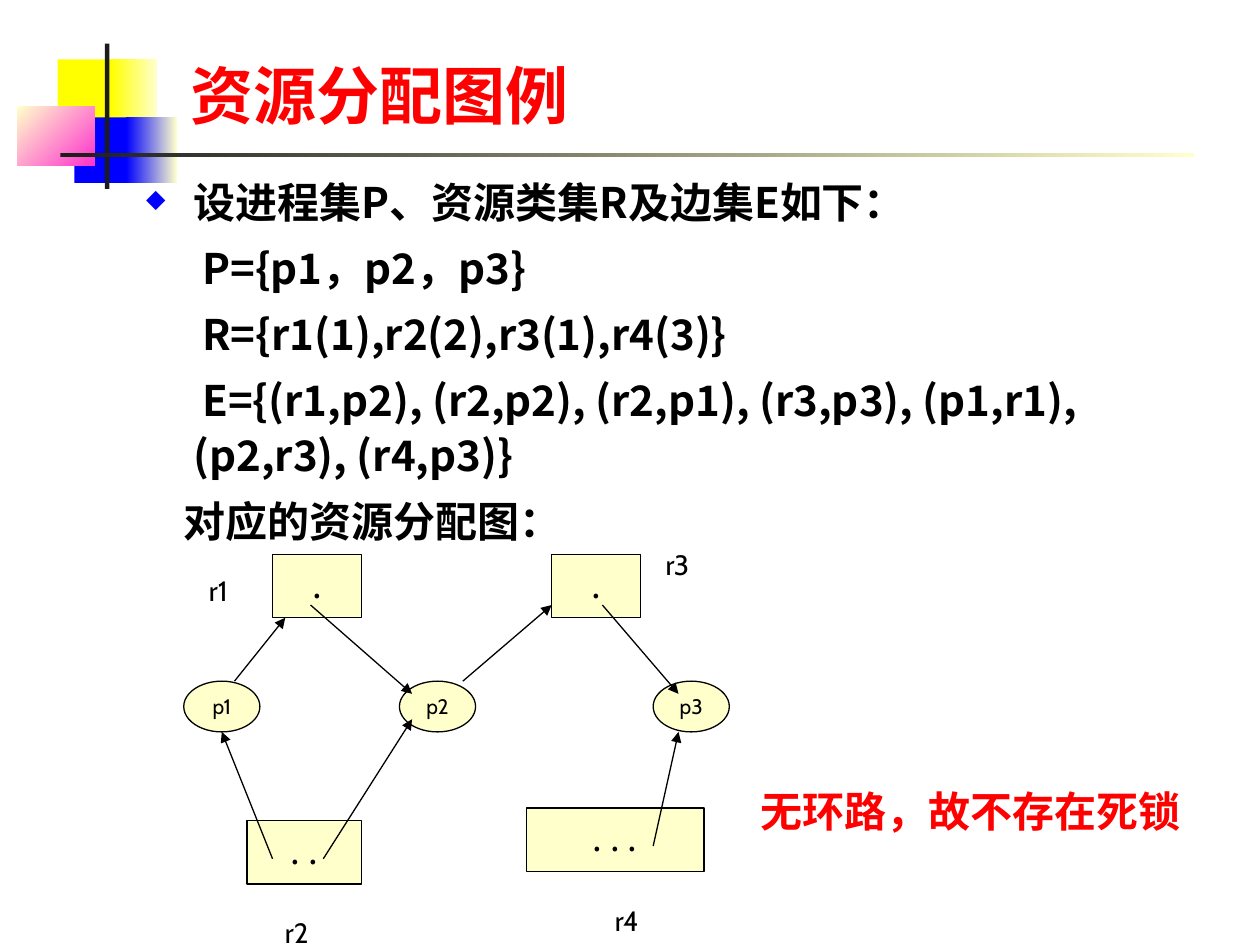
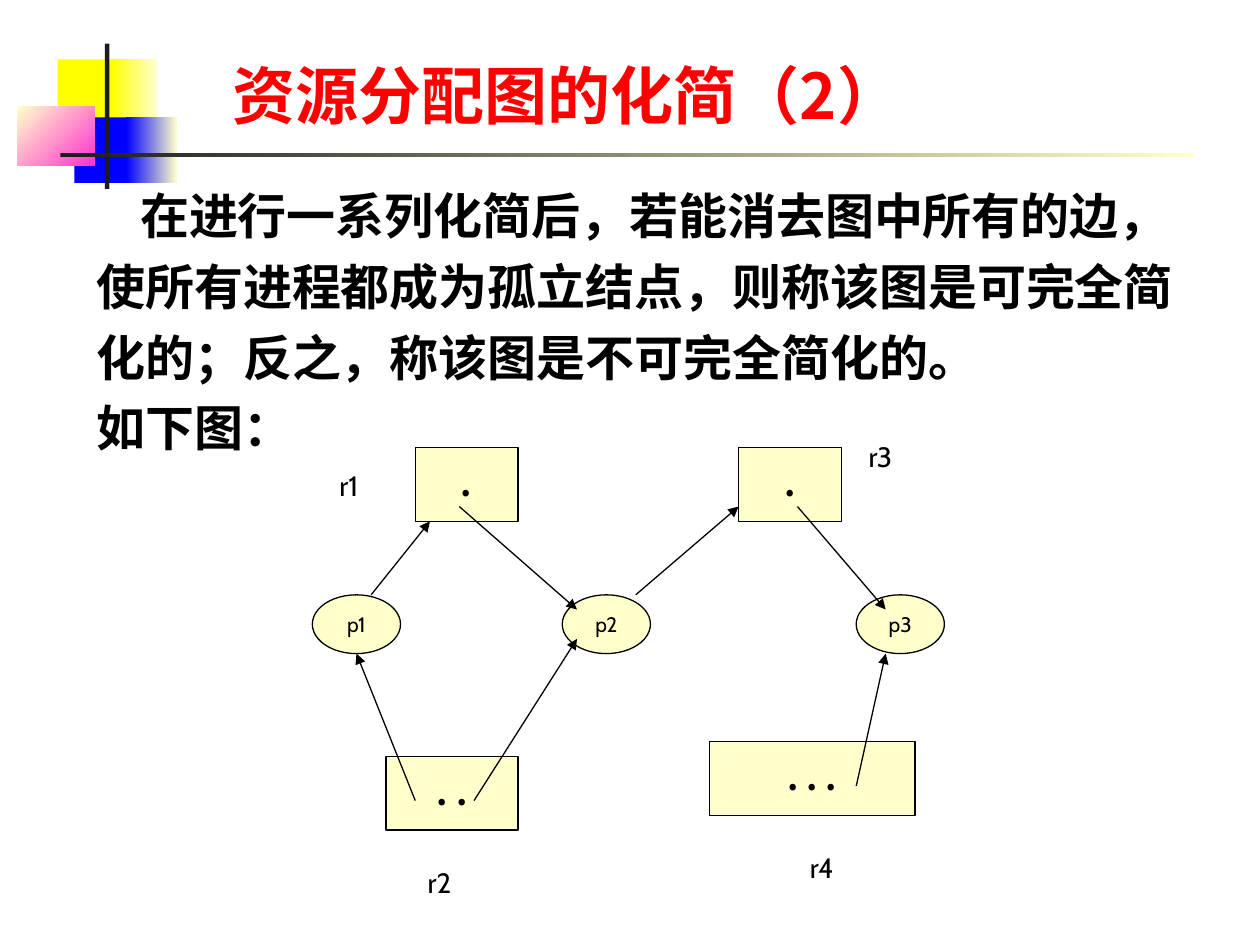
from dataclasses import dataclass
from typing import NamedTuple

from lxml.etree import SubElement
from pptx import Presentation
from pptx.dml.color import RGBColor
from pptx.enum.shapes import MSO_CONNECTOR, MSO_SHAPE
from pptx.enum.text import MSO_ANCHOR, PP_ALIGN
from pptx.oxml import parse_xml
from pptx.oxml.ns import nsdecls, qn
from pptx.util import Pt

BLACK = RGBColor(0x00, 0x00, 0x00)
RED = RGBColor(0xFF, 0x00, 0x00)
YELLOW = RGBColor(0xFF, 0xFF, 0x00)
BLUE = RGBColor(0x00, 0x00, 0xFF)
PINK = RGBColor(0xFF, 0x33, 0xCC)
CREAM = RGBColor(0xFF, 0xFF, 0xCC)
CHARCOAL = RGBColor(0x1C, 0x1C, 0x1C)

LATIN = "Cabin"
CJK = "Noto Sans CJK SC"


class Box(NamedTuple):
    left: float
    top: float
    width: float
    height: float


class Band(NamedTuple):
    box: Box
    start: RGBColor
    end: RGBColor | None = None
    angle: float = 0


@dataclass(frozen=True)
class Style:
    size: float
    font: str = LATIN
    color: RGBColor = BLACK
    bold: bool = False
    line_spacing: float | None = None
    space_before: float = 0


class Line(NamedTuple):
    text: str
    margin: float = 0
    indent: float = 0
    bullet: bool = False


class Node(NamedTuple):
    """A process or resource class, in grid units."""
    text: str
    box: Box


class Edge(NamedTuple):
    """An arrow between two points, in grid units."""
    x1: float
    y1: float
    x2: float
    y2: float


class Grid(NamedTuple):
    left: float
    top: float
    unit: float

    def x(self, column: float) -> Pt:
        return Pt(self.left + column * self.unit)

    def y(self, row: float) -> Pt:
        return Pt(self.top + row * self.unit)

    def place(self, box: Box) -> Box:
        return Box(self.left + box.left * self.unit, self.top + box.top * self.unit,
                   box.width * self.unit, box.height * self.unit)


BANDS = [
    Band(Box(33, 34, 34.5, 37.5), YELLOW),
    Band(Box(63.5, 34, 26, 37.5), YELLOW, CREAM),
    Band(Box(42.5, 67, 33, 37.5), BLUE),
    Band(Box(72, 67, 29, 37.5), BLUE, CREAM),
    Band(Box(10, 61, 44, 33.5), CREAM, PINK, 315),
    Band(Box(60, 25, 2.5, 83), CHARCOAL),
    Band(Box(34.5, 87.5, 648, 2.5), CHARCOAL, CREAM),
]

PROCESSES = [Node(f"p{number}", Box(column, 11, 6, 4))
             for number, column in enumerate((0, 17, 37), 1)]
RESOURCES = [
    Node(".", Box(7, 1, 7, 5)),
    Node(". .", Box(5, 22, 9, 5)),
    Node(".", Box(29, 1, 7, 5)),
    Node(". . .", Box(27, 21, 14, 5)),
]
RESOURCE_NAMES = {"r1": (1, 2), "r2": (7, 29), "r3": (37, 0), "r4": (33, 28)}
EDGES = [
    Edge(10, 5, 18, 12),
    Edge(11, 25, 18, 14),
    Edge(7, 25, 3, 15),
    Edge(33, 5, 39, 12),
    Edge(4, 11, 8, 6),
    Edge(22, 11, 29, 5),
    Edge(37, 24, 39, 15),
]

TITLE = Style(36, CJK, RED, True)
PROCESS = Style(12)
RESOURCE_NAME = Style(16, space_before=10)
DEFINITION = Style(24, CJK, bold=True, line_spacing=1.1, space_before=6)
EXPLANATION = Style(28, CJK, bold=True, line_spacing=1.2)
CONCLUSION = Style(24, color=RED, bold=True, space_before=15)


def style_paragraph(paragraph, style: Style) -> None:
    paragraph.line_spacing = style.line_spacing
    paragraph.space_before = Pt(style.space_before)
    font = paragraph.font
    font.size, font.name, font.bold = Pt(style.size), style.font, style.bold
    font.color.rgb = style.color
    SubElement(paragraph._p.pPr.find(qn("a:defRPr")), qn("a:ea"), typeface=CJK)


def add_bullet(paragraph) -> None:
    defaults = paragraph._p.pPr.find(qn("a:defRPr"))
    for xml in (f'<a:buClr {nsdecls("a")}><a:srgbClr val="{BLUE}"/></a:buClr>',
                f'<a:buSzPct {nsdecls("a")} val="60000"/>',
                f'<a:buChar {nsdecls("a")} char="◆"/>'):
        defaults.addprevious(parse_xml(xml))


def add_text(slide, box: Box, lines: list[Line], style: Style,
             anchor: MSO_ANCHOR = MSO_ANCHOR.TOP) -> None:
    frame = slide.shapes.add_textbox(*map(Pt, box)).text_frame
    frame.word_wrap = True
    frame.vertical_anchor = anchor
    for index, line in enumerate(lines):
        paragraph = frame.add_paragraph() if index else frame.paragraphs[0]
        paragraph.text = line.text
        style_paragraph(paragraph, style)
        properties = paragraph._p.pPr
        properties.set("marL", str(Pt(line.margin)))
        properties.set("indent", str(Pt(line.indent)))
        if line.bullet:
            add_bullet(paragraph)


def add_band(slide, band: Band) -> None:
    shape = slide.shapes.add_shape(MSO_SHAPE.RECTANGLE, *map(Pt, band.box))
    shape.shadow.inherit = False
    shape.line.fill.background()
    if band.end is None:
        shape.fill.solid()
        shape.fill.fore_color.rgb = band.start
        return
    shape.fill.gradient()
    shape.fill.gradient_angle = band.angle
    for stop, color, position in zip(shape.fill.gradient_stops,
                                     (band.start, band.end), (0, 1)):
        stop.color.rgb = color
        stop.position = position


def add_node(slide, grid: Grid, node: Node, kind: MSO_SHAPE, style: Style) -> None:
    shape = slide.shapes.add_shape(kind, *map(Pt, grid.place(node.box)))
    shape.shadow.inherit = False
    shape.fill.solid()
    shape.fill.fore_color.rgb = CREAM
    shape.line.color.rgb = BLACK
    shape.line.width = Pt(0.75)
    frame = shape.text_frame
    frame.word_wrap = False
    frame.vertical_anchor = MSO_ANCHOR.MIDDLE
    paragraph = frame.paragraphs[0]
    paragraph.text = node.text
    paragraph.alignment = PP_ALIGN.CENTER
    style_paragraph(paragraph, style)


def add_edge(slide, grid: Grid, edge: Edge) -> None:
    arrow = slide.shapes.add_connector(
        MSO_CONNECTOR.STRAIGHT, grid.x(edge.x1), grid.y(edge.y1),
        grid.x(edge.x2), grid.y(edge.y2))
    arrow.line.color.rgb = BLACK
    arrow.line.width = Pt(0.75)
    SubElement(arrow.line._get_or_add_ln(), qn("a:tailEnd"), type="triangle")
    SubElement(arrow._element.spPr, qn("a:effectLst"))


def add_allocation_graph(slide, grid: Grid, bold_units: bool) -> None:
    """Draw the graph; the dots are the units of each resource class."""
    units = Style(20, CJK, bold=bold_units, line_spacing=0.95)
    for process in PROCESSES:
        add_node(slide, grid, process, MSO_SHAPE.OVAL, PROCESS)
    for resource in RESOURCES:
        add_node(slide, grid, resource, MSO_SHAPE.RECTANGLE, units)
    for name, (column, row) in RESOURCE_NAMES.items():
        box = grid.place(Box(column, row, 5, 0))._replace(height=26.5)
        add_text(slide, box, [Line(name)], RESOURCE_NAME)
    for edge in EDGES:
        add_edge(slide, grid, edge)


def add_titled_slide(deck, title: str, box: Box):
    slide = deck.slides.add_slide(deck.slide_layouts[6])
    for band in BANDS:
        add_band(slide, band)
    add_text(slide, box, [Line(title)], TITLE, MSO_ANCHOR.BOTTOM)
    return slide


def add_example_slide(deck) -> None:
    slide = add_titled_slide(deck, "资源分配图例", Box(101.5, 15, 547, 64))
    add_text(slide, Box(76.5, 94.5, 612, 227), [
        Line("设进程集P、资源类集R及边集E如下：", 27, -27, True),
        Line("P={p1，p2，p3}", 27, 5),
        Line("R={r1(1),r2(2),r3(1),r4(3)}", 27, 5),
        Line("E={(r1,p2), (r2,p2), (r2,p1), (r3,p3), (p1,r1), (p2,r3), (r4,p3)}", 27, 5),
        Line("对应的资源分配图：", 27, -5.5),
    ], DEFINITION)
    add_allocation_graph(slide, Grid(105, 309.5, 7.25), bold_units=False)
    add_text(slide, Box(427.5, 445.5, 281, 36), [Line("无环路，故不存在死锁")], CONCLUSION)


def add_reduction_slide(deck) -> None:
    slide = add_titled_slide(deck, "资源分配图的化简（2）", Box(126, 43, 472, 36))
    add_text(slide, Box(48, 96, 641, 168.5), [
        Line("在进行一系列化简后，若能消去图中所有的边，使所有进程都成为孤立结点，"
             "则称该图是可完全简化的；反之，称该图是不可完全简化的。", indent=25),
        Line("如下图："),
    ], EXPLANATION)
    add_allocation_graph(slide, Grid(178.5, 247.5, 8.4), bold_units=True)


def main() -> None:
    deck = Presentation()
    deck.slide_width, deck.slide_height = Pt(720), Pt(540)
    add_example_slide(deck)
    add_reduction_slide(deck)
    deck.save("out.pptx")


if __name__ == "__main__":
    main()
